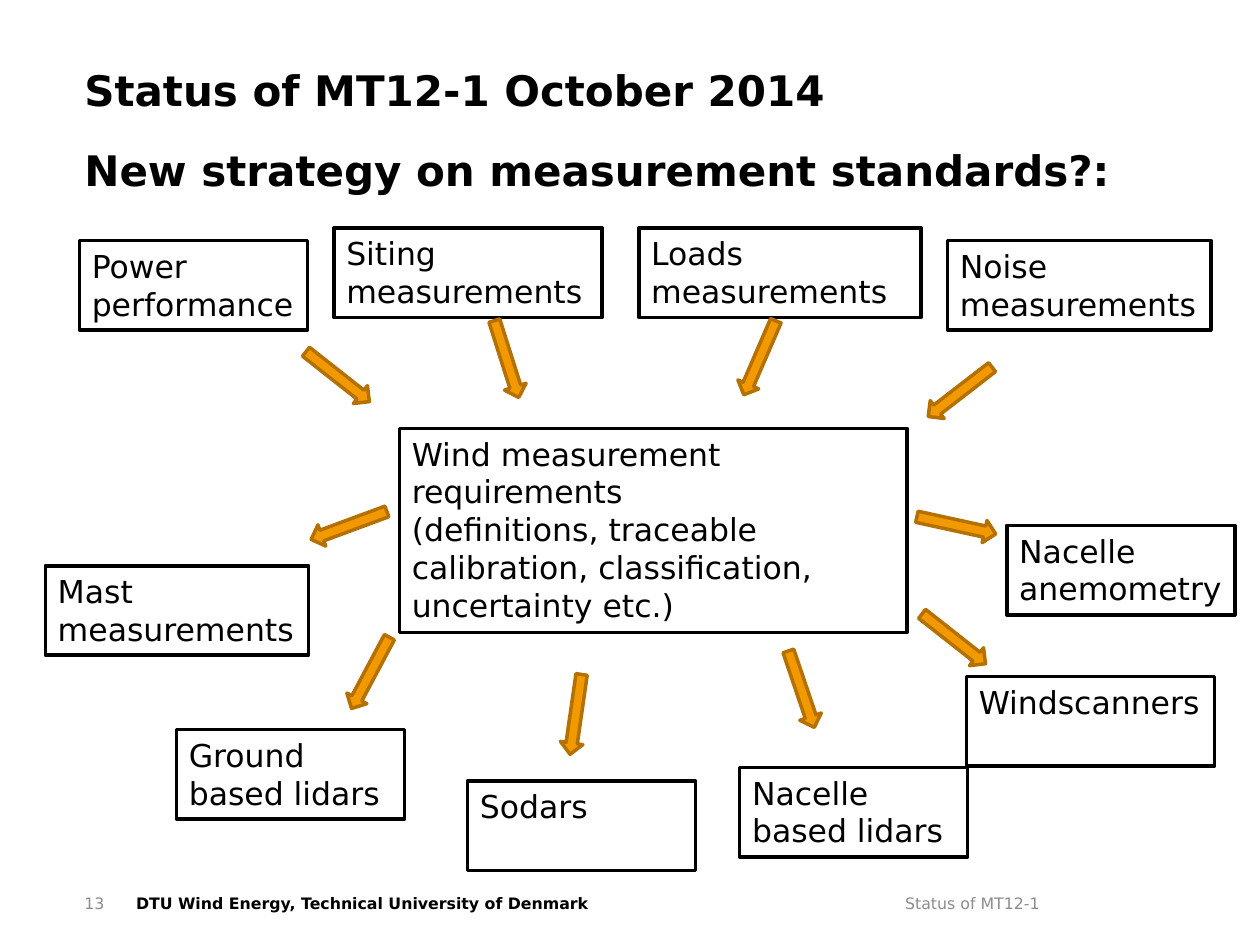
import pptx
import pptx.util
import pptx.dml.color
import pptx.enum.shapes
import pptx.enum.text
from dataclasses import dataclass

Inches = pptx.util.Inches
Align = pptx.enum.text.PP_ALIGN
Anchor = pptx.enum.text.MSO_ANCHOR
Kind = pptx.enum.shapes.MSO_SHAPE


@dataclass
class Theme:
    face: str = "DejaVu Sans"
    ink: str = "000000"
    grey: str = "8C8C8C"
    paper: str = "FFFFFF"
    amber: str = "F39900"
    rust: str = "B47100"
    head: int = 24
    body: int = 18
    foot: int = 9
    rule: int = 2


theme = Theme()

labels = [
    ("DTU Wind Energy, Technical University of Denmark", (1.08, 7.09, 4.04, 0.33),
     theme.foot, theme.ink, True, Align.LEFT, Anchor.TOP),
    ("Status of MT12-1 October 2014", (0.67, 0.33, 8.5, 0.58),
     theme.head, theme.ink, True, Align.LEFT, Anchor.BOTTOM),
    ("Status of MT12-1", (5.25, 7.09, 3, 0.33),
     theme.foot, theme.grey, False, Align.RIGHT, Anchor.TOP),
    ("13", (0.67, 7.09, 0.33, 0.33),
     theme.foot, theme.grey, False, Align.LEFT, Anchor.TOP),
    ("New strategy on measurement standards?:", (0.67, 1.15, 9.13, 0.63),
     theme.head, theme.ink, True, Align.LEFT, Anchor.TOP),
]

low, tall = 0.71, 1.62
boxes = [
    (["Power performance"], 0.63, 1.91, 1.81, low),
    (["Noise measurements"], 7.52, 1.91, 2.09, low),
    (["Siting measurements"], 2.65, 1.81, 2.13, low),
    (["Loads measurements"], 5.07, 1.81, 2.24, low),
    (["Nacelle based lidars"], 5.87, 6.09, 1.81, low),
    (["Sodars"], 3.71, 6.2, 1.81, low),
    (["Wind measurement requirements",
      "(definitions, traceable calibration, classification, uncertainty etc.)"],
     3.17, 3.4, 4.03, tall),
    (["Ground based lidars"], 1.4, 5.79, 1.81, low),
    (["Mast measurements"], 0.36, 4.49, 2.09, low),
    (["Windscanners"], 7.67, 5.37, 1.97, low),
    (["Nacelle anemometry"], 7.99, 4.17, 1.81, low),
]

span, thick = 0.64, 0.18
arrows = [
    (2.36, 2.9, 38.2), (7.3, 3.02, 142.3), (5.71, 2.75, 113.4),
    (3.7, 2.76, 72.4), (2.45, 4.08, 159.7), (2.62, 5.25, 118),
    (4.25, 5.58, 98.2), (6.04, 5.38, 71.3), (7.25, 4.98, 38.2),
    (7.27, 4.08, 12.3),
]


def color(code):
    return pptx.dml.color.RGBColor.from_string(code)


def write(frame, lines, size, ink, bold=False, align=Align.LEFT, anchor=Anchor.TOP):
    frame.word_wrap = True
    frame.vertical_anchor = anchor
    frame.text = "\n".join(lines)
    for para in frame.paragraphs:
        para.alignment = align
        para.font.name = theme.face
        para.font.size = pptx.util.Pt(size)
        para.font.bold = bold
        para.font.color.rgb = color(ink)


def draw(kind, place, fill, line):
    shape = slide.shapes.add_shape(kind, *map(Inches, place))
    shape.shadow.inherit = False
    shape.fill.solid()
    shape.fill.fore_color.rgb = color(fill)
    shape.line.color.rgb = color(line)
    shape.line.width = pptx.util.Pt(theme.rule)
    return shape


deck = pptx.Presentation()
deck.slide_width, deck.slide_height = Inches(10), Inches(7.5)
slide = deck.slides.add_slide(deck.slide_layouts[6])

for text, place, *style in labels:
    frame = slide.shapes.add_textbox(*map(Inches, place)).text_frame
    frame.margin_left = frame.margin_right = 0
    frame.margin_top = frame.margin_bottom = 0
    write(frame, [text], *style)

for lines, *place in boxes:
    box = draw(Kind.RECTANGLE, place, theme.paper, theme.ink)
    write(box.text_frame, lines, theme.body, theme.ink)

for left, top, turn in arrows:
    arrow = draw(Kind.RIGHT_ARROW, (left, top, span, thick), theme.amber, theme.rust)
    arrow.rotation = turn

deck.save("out.pptx")
